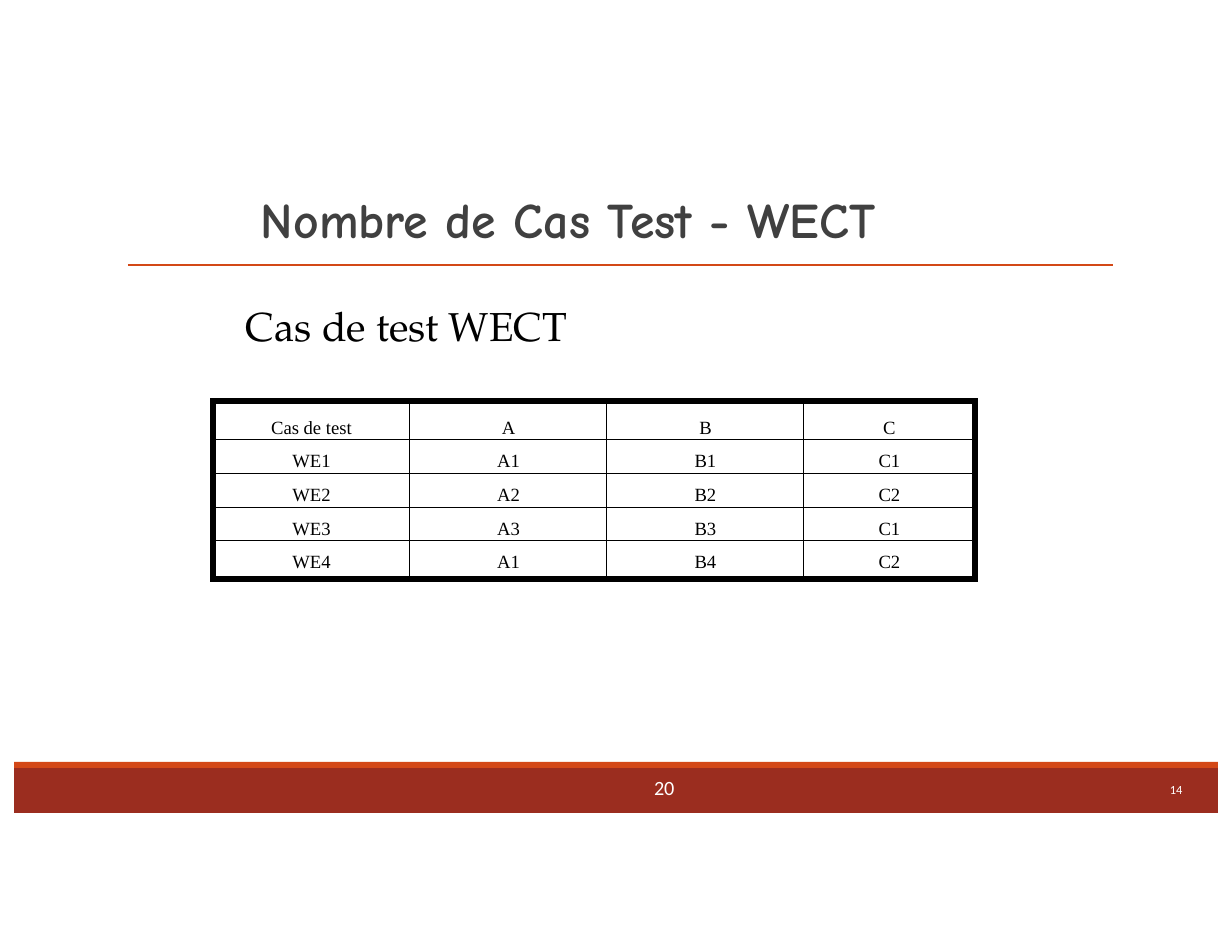
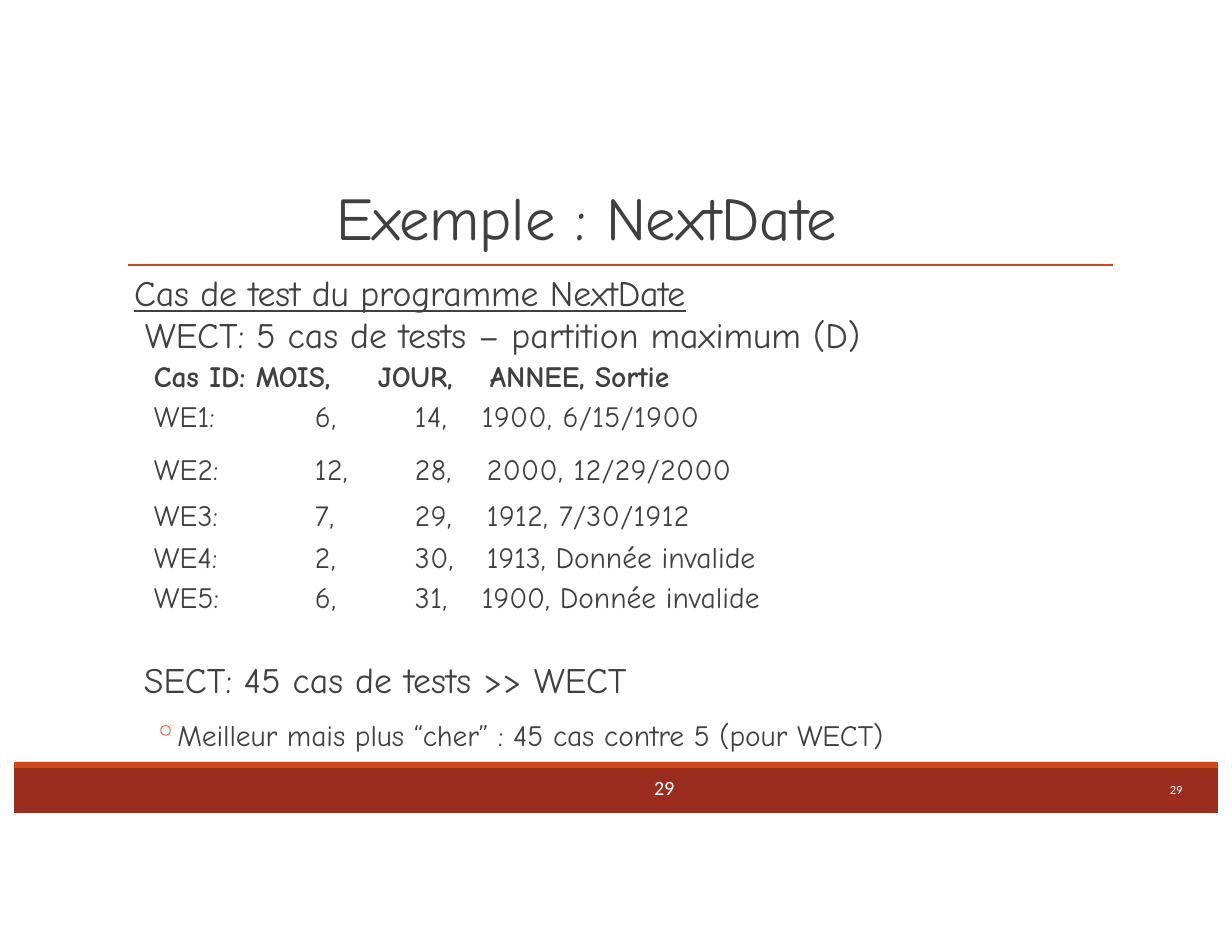
from lxml import etree
from pptx import Presentation
from pptx.dml.color import RGBColor
from pptx.enum.shapes import MSO_CONNECTOR, MSO_SHAPE
from pptx.enum.text import MSO_ANCHOR, PP_ALIGN
from pptx.oxml.ns import qn
from pptx.util import Emu, Pt

LEFT, CENTER = PP_ALIGN.LEFT, PP_ALIGN.CENTER
TOP = MSO_ANCHOR.TOP
RECT, STRAIGHT = MSO_SHAPE.RECTANGLE, MSO_CONNECTOR.STRAIGHT
TITLE_ONLY = 5

ORANGE, RED, GREY, BLACK, WHITE = "D34817", "9B2D1F", "404040", "000000", "FFFFFF"
COMIC, SERIF, PAGELLA, SANS = "Comic Neue", "Times New Roman", "TeX Gyre Pagella", "Calibri"


def px(n):
    return Emu(round(n * 914400 / 112))


def rgb(value):
    return RGBColor.from_string(value)


def sub(parent, tag, **attrs):
    el = etree.SubElement(parent, qn(tag))
    for name, value in attrs.items():
        el.set(name, str(value))
    return el


class Deck:
    def __init__(self, width, height):
        self.prs = Presentation()
        self.prs.slide_width, self.prs.slide_height = px(width), px(height)
        self.s = None

    def slide(self, page, number):
        """Start a slide with the shared bands, rule and two page numbers."""
        self.s = self.prs.slides.add_slide(self.prs.slide_layouts[TITLE_ONLY])
        self.band(768, 45, RED)
        self.band(762, 6, ORANGE)
        self.rule(128, 1113, 265)
        tf = self.text(650, 775, 31, 28, 0)
        self.para(tf, page, 13, SANS, WHITE, indent=4)
        tf = self.text(1169, 781, 18, 18)
        self.para(tf, number, 8, SANS, WHITE, indent=1, spc=-0.1)

    def band(self, y, h, color):
        sp = self.s.shapes.add_shape(RECT, px(14), px(y), px(1204), px(h))
        sp.shadow.inherit = False
        sp.fill.solid()
        sp.fill.fore_color.rgb = rgb(color)
        sp.line.fill.background()

    def rule(self, x1, x2, y):
        line = self.s.shapes.add_connector(STRAIGHT, px(x1), px(y), px(x2), px(y))
        line.line.color.rgb = rgb(ORANGE)
        line.line.width = Pt(1)
        sub(line._element.spPr, "a:effectLst")

    def frame(self, tf, top):
        tf.word_wrap = True
        tf.vertical_anchor = TOP
        tf.margin_left = tf.margin_right = tf.margin_bottom = 0
        tf.margin_top = px(top)
        return tf

    def title(self, text, x, y, w, h, size, **style):
        sp = self.s.shapes.title
        sp.left, sp.top, sp.width, sp.height = px(x), px(y), px(w), px(h)
        tf = self.frame(sp.text_frame, 1)
        self.para(tf, text, size, COMIC, GREY, indent=1, **style)

    def text(self, x, y, w, h, top=1):
        sp = self.s.shapes.add_textbox(px(x), px(y), px(w), px(h))
        return self.frame(sp.text_frame, top)

    def para(self, tf, text, size, font, color, indent=0, hanging=0, align=LEFT, before=None,
             line=None, bold=False, underline=False, spc=0, bullet=None, tabs=()):
        """Fill the empty first paragraph, or add one; spc is letter spacing in points."""
        p = tf.paragraphs[0] if not tf.text else tf.add_paragraph()
        p.add_run().text = text
        p.alignment = align
        pPr = p._p.get_or_add_pPr()
        pPr.set("marL", str(px(indent)))
        pPr.set("indent", str(px(-hanging)))
        if bullet:
            sub(sub(pPr, "a:buClr"), "a:srgbClr", val=ORANGE)
            sub(pPr, "a:buChar", char=bullet)
        if tabs:
            tab_list = sub(pPr, "a:tabLst")
            for pos in tabs:
                sub(tab_list, "a:tab", pos=px(pos), algn="l")
        if before:
            p.space_before = Pt(before)
        if line:
            p.line_spacing = Pt(line)
        f = p.font
        f.name, f.size, f.bold, f.underline = font, Pt(size), bold, underline
        f.color.rgb = rgb(color)
        if spc:
            pPr.get_or_add_defRPr().set("spc", str(round(spc * 100)))

    def table(self, x, y, widths, heights):
        sp = self.s.shapes.add_table(len(heights), len(widths), px(x), px(y),
                                     px(sum(widths)), px(sum(heights)))
        tbl = sp.table
        tbl.first_row = tbl.horz_banding = False
        for col, w in zip(tbl.columns, widths):
            col.width = px(w)
        for row, h in zip(tbl.rows, heights):
            row.height = px(h)
        return tbl

    def cell(self, cell, text, top, borders, *font, **style):
        """Fill a cell; borders are widths in points: left, right, top, bottom."""
        tcPr = cell._tc.get_or_add_tcPr()
        for side, width in zip("LRTB", borders):
            ln = sub(tcPr, "a:ln" + side, w=Pt(width))
            if width:
                sub(sub(ln, "a:solidFill"), "a:srgbClr", val=BLACK)
            else:
                sub(ln, "a:noFill")
        cell.fill.background()
        cell.margin_left = cell.margin_right = cell.margin_bottom = 0
        cell.margin_top = px(top)
        cell.vertical_anchor = TOP
        self.para(cell.text_frame, text, *font, **style)


def wect_slide(d):
    d.slide("20", "14")
    rows = [("Cas de test", "A", "B", "C"),
            ("WE1", "A1", "B1", "C1"),
            ("WE2", "A2", "B2", "C2"),
            ("WE3", "A3", "B3", "C1"),
            ("WE4", "A1", "B4", "C2")]
    tbl = d.table(213, 401, (197, 197, 197, 171), (39, 34, 34, 33, 38))
    last_row, last_col = len(rows) - 1, len(rows[0]) - 1
    for i, row in enumerate(rows):
        for j, text in enumerate(row):
            outer = (j == 0, j == last_col, i == 0, i == last_row)
            borders = [4.25 if edge else 0.75 for edge in outer]
            d.cell(tbl.cell(i, j), text, 11 if i else 17, borders, 12, SERIF, BLACK,
                   align=CENTER, line=13)
    tf = d.text(245, 300, 324, 52)
    d.para(tf, "Cas de test WECT", 26, PAGELLA, BLACK, indent=1)
    d.title("Nombre de Cas Test - WECT", 260, 188, 718, 63, 32, bold=True)


def next_date_slide(d):
    d.slide("29", "29")
    tf = d.text(133, 271, 773, 124)
    body = (23, COMIC, GREY)
    detail = (19, COMIC, GREY)
    d.para(tf, "Cas de test du programme NextDate", *body, indent=1, line=26.8,
           underline=True, spc=-0.13)
    d.para(tf, "WECT: 5 cas de tests – partition maximum (D)", *body, indent=12, line=26.8)
    d.para(tf, "Cas ID: MOIS,\tJOUR,\tANNEE, Sortie", *detail, indent=21, before=1.4,
           bold=True, spc=-0.05, tabs=(275, 413))

    # top inset, indent and letter spacing of the result, then the texts
    rows = [(3, 10, 0.3, ("WE1:", "6,", "14,", "1900, 6/15/1900")),
            (9, 15, 0.3, ("WE2:", "12,", "28,", "2000, 12/29/2000")),
            (6, 15, 0.3, ("WE3:", "7,", "29,", "1912, 7/30/1912")),
            (3, 15, 0, ("WE4:", "2,", "30,", "1913, Donnée invalide")),
            (2, 10, 0, ("WE5:", "6,", "31,", "1900, Donnée invalide"))]
    tbl = d.table(151, 398, (123, 112, 86, 312), (47, 49, 45, 41, 40))
    for i, (top, indent, spc, texts) in enumerate(rows):
        styles = zip(texts, (3, 41, 29, indent), (0.1, 0.3, 0.3, spc))
        for j, (text, ind, spacing) in enumerate(styles):
            d.cell(tbl.cell(i, j), text, top, (0, 0, 0, 0), *detail, indent=ind, spc=spacing)

    tf = d.text(143, 637, 811, 118, 21)
    d.para(tf, "SECT: 45 cas de tests >> WECT", *body, indent=1)
    d.para(tf, "Meilleur mais plus “cher” : 45 cas contre 5 (pour WECT)", *detail,
           indent=28, hanging=17, before=10.3, spc=-0.07, bullet="◦", tabs=(28,))
    d.title("Exemple : NextDate", 335, 179, 566, 76, 39, spc=-0.12)


def main():
    d = Deck(1232, 952)
    wect_slide(d)
    next_date_slide(d)
    d.prs.save("out.pptx")


if __name__ == "__main__":
    main()
